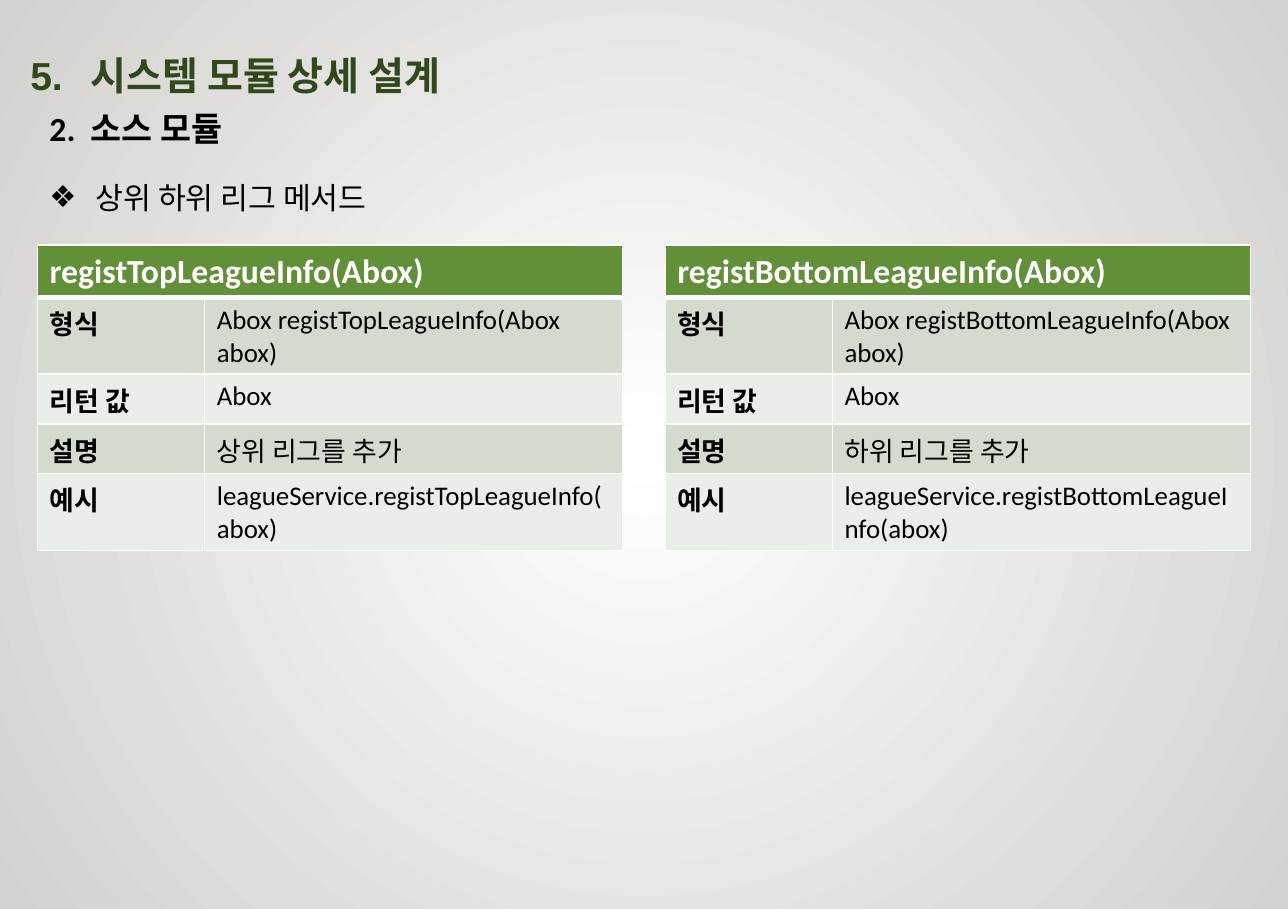
from dataclasses import dataclass

from lxml.etree import SubElement
from pptx import Presentation
from pptx.dml.color import RGBColor as RGB
from pptx.enum.text import MSO_ANCHOR as Anchor, MSO_AUTO_SIZE as AutoSize, PP_ALIGN as Align
from pptx.oxml.ns import qn
from pptx.util import Inches, Pt


@dataclass(frozen=True)
class Theme:
    heading_font: str = "Arial"
    body_font: str = "Calibri"
    heading: RGB = RGB(0x31, 0x48, 0x1C)
    text: RGB = RGB(0, 0, 0)
    white: RGB = RGB(0xFF, 0xFF, 0xFF)
    backdrop_edge: RGB = RGB(0xD2, 0xD1, 0xCD)
    header_fill: RGB = RGB(0x62, 0x90, 0x38)
    bands: tuple = (RGB(0xD3, 0xDB, 0xCE), RGB(0xEA, 0xEE, 0xE8))
    heading_size: int = 40
    section_size: int = 20
    topic_size: int = 18
    header_size: int = 20
    cell_size: int = 16


THEME = Theme()
ROW_HEIGHT = 0.41
COLUMN_WIDTHS = (1.38, 3.45)
TABLE_LEFT, TABLE_TOP, TABLE_PITCH = 0.31, 2.02, 5.18
ROW_LABELS = ("형식", "리턴 값", "설명", "예시")
METHODS = (
    ("registTopLeagueInfo", "상위 리그를 추가"),
    ("registBottomLeagueInfo", "하위 리그를 추가"),
)


def paint_background(slide):
    """Radial gradient, white at the centre."""
    fill = slide.background.fill
    fill.gradient()
    for stop, color in zip(fill.gradient_stops, (THEME.white, THEME.backdrop_edge)):
        stop.color.rgb = color
    gradient = slide.element.find(".//" + qn("a:gradFill"))
    gradient.remove(gradient.find(qn("a:lin")))
    circle = SubElement(gradient, qn("a:path"), path="circle")
    SubElement(circle, qn("a:fillToRect"), l="50000", t="50000", r="50000", b="50000")


def add_text(paragraph, text, size, color, bold=False, font=THEME.body_font):
    run = paragraph.add_run()
    run.text = text
    run.font.name = font
    run.font.size = Pt(size)
    run.font.bold = bold
    run.font.color.rgb = color
    return run


def hang(paragraph, indent, bullet=None):
    """Hanging indent, with a tab stop or a bullet character."""
    props = paragraph._p.get_or_add_pPr()
    props.set("marL", str(Inches(indent)))
    props.set("indent", str(-Inches(indent)))
    if bullet:
        SubElement(props, qn("a:buFont"), typeface=THEME.heading_font)
        SubElement(props, qn("a:buChar"), char=bullet)
    else:
        SubElement(props, qn("a:buNone"))
        tabs = SubElement(props, qn("a:tabLst"))
        SubElement(tabs, qn("a:tab"), pos=str(Inches(indent)), algn="l")


def set_heading(slide, text):
    heading = slide.shapes.title
    heading.left, heading.top = Inches(0.15), Inches(0)
    heading.width, heading.height = Inches(5.75), Inches(0.55)
    frame = heading.text_frame
    frame.auto_size = AutoSize.NONE
    frame.vertical_anchor = Anchor.TOP
    paragraph = frame.paragraphs[0]
    hang(paragraph, 0.5)
    paragraph.alignment = Align.LEFT
    run = add_text(paragraph, text, THEME.heading_size, THEME.heading, True, THEME.heading_font)
    run.font._element.set("baseline", "-25000")


def add_line(slide, text, top, height, size, indent, bold=False, bullet=None):
    box = slide.shapes.add_textbox(Inches(0.31), Inches(top), Inches(3.98), Inches(height))
    box.text_frame.word_wrap = True
    paragraph = box.text_frame.paragraphs[0]
    hang(paragraph, indent, bullet)
    add_text(paragraph, text, size, THEME.text, bold)


def set_borders(cell, top=1, bottom=1):
    props = cell._tc.get_or_add_tcPr()
    widths = {"a:lnL": 1, "a:lnR": 1, "a:lnT": top, "a:lnB": bottom}
    for index, (side, width) in enumerate(widths.items()):
        line = SubElement(props, qn(side), w=str(Pt(width)))
        solid = SubElement(line, qn("a:solidFill"))
        SubElement(solid, qn("a:srgbClr"), val=str(THEME.white))
        props.insert(index, line)


def fill_cell(cell, text, color, size, text_color, bold):
    cell.fill.solid()
    cell.fill.fore_color.rgb = color
    add_text(cell.text_frame.paragraphs[0], text, size, text_color, bold)


def add_method_table(slide, left, method, description):
    values = (f"Abox {method}(Abox abox)", "Abox", description, f"leagueService.{method}(abox)")
    row_count = len(values) + 1
    table = slide.shapes.add_table(
        row_count, len(COLUMN_WIDTHS), Inches(left), Inches(TABLE_TOP),
        Inches(sum(COLUMN_WIDTHS)), Inches(ROW_HEIGHT * row_count),
    ).table
    for column, width in zip(table.columns, COLUMN_WIDTHS):
        column.width = Inches(width)

    header = table.cell(0, 0)
    header.merge(table.cell(0, 1))
    fill_cell(header, f"{method}(Abox)", THEME.header_fill, THEME.header_size, THEME.white, True)
    for row, texts in enumerate(zip(ROW_LABELS, values), start=1):
        band = THEME.bands[(row - 1) % 2]
        for column, text in enumerate(texts):
            fill_cell(table.cell(row, column), text, band, THEME.cell_size, THEME.text, column == 0)

    for row in range(row_count):
        for column in range(len(COLUMN_WIDTHS)):
            set_borders(table.cell(row, column), 3 if row == 1 else 1, 3 if row == 0 else 1)


def main():
    deck = Presentation()
    deck.slide_width, deck.slide_height = Inches(10.63), Inches(7.5)
    slide = deck.slides.add_slide(deck.slide_layouts[5])
    paint_background(slide)
    set_heading(slide, "5.\t시스템 모듈 상세 설계")
    add_line(slide, "2.\t소스 모듈", 0.84, 0.44, THEME.section_size, 0.34, bold=True)
    for index, (method, description) in enumerate(METHODS):
        add_method_table(slide, TABLE_LEFT + index * TABLE_PITCH, method, description)
    add_line(slide, "상위 하위 리그 메서드", 1.43, 0.4, THEME.topic_size, 0.38, bullet="❖")
    deck.save("out.pptx")


if __name__ == "__main__":
    main()
